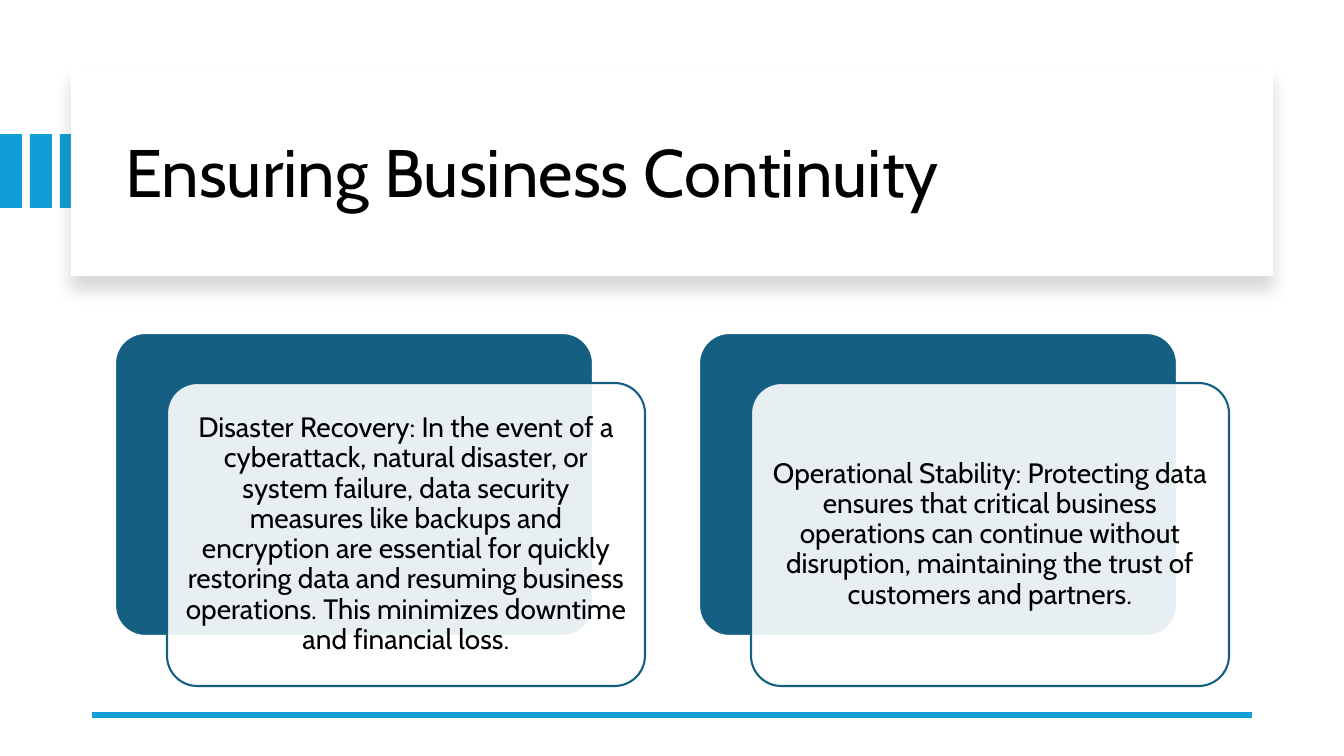
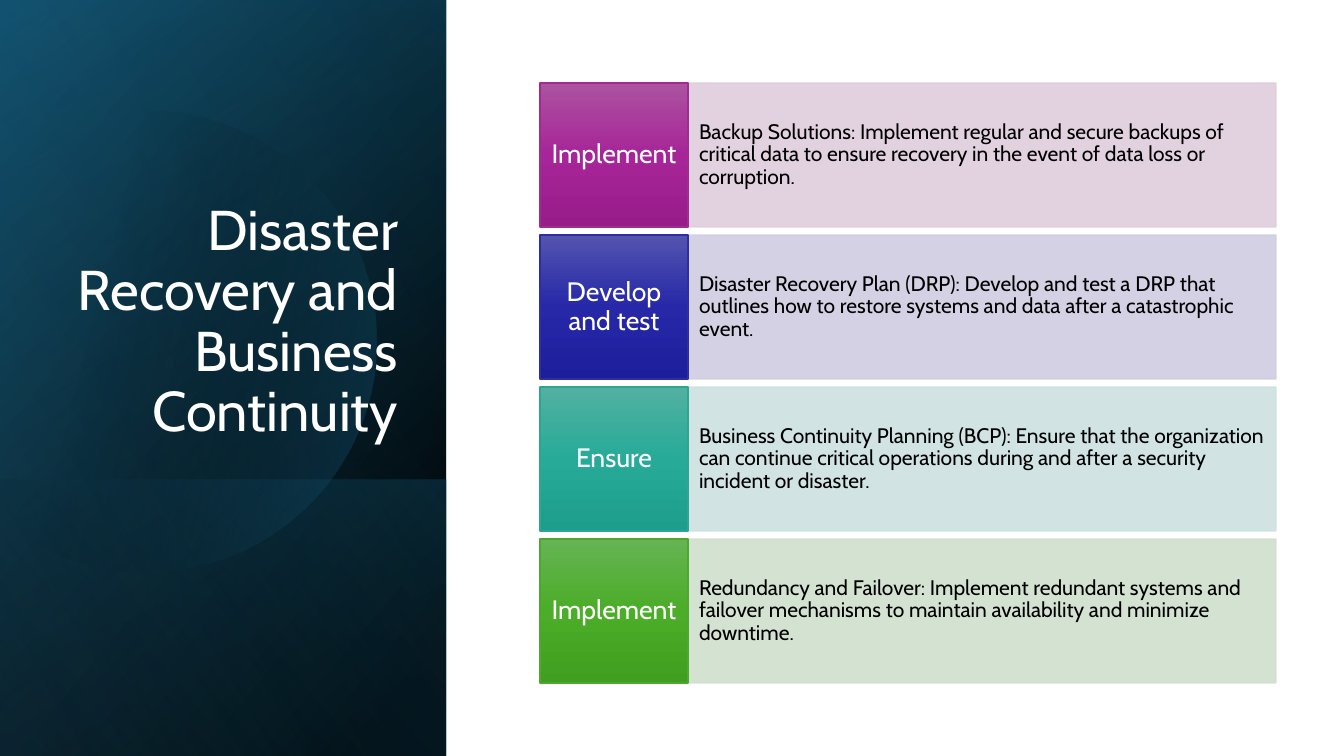
from math import cos, radians, sin

from lxml import etree
from pptx import Presentation
from pptx.dml.color import RGBColor
from pptx.enum.shapes import MSO_CONNECTOR, MSO_SHAPE
from pptx.enum.text import MSO_ANCHOR, PP_ALIGN
from pptx.oxml.ns import qn
from pptx.util import Emu, Pt

RECTANGLE = MSO_SHAPE.RECTANGLE
ROUNDED = MSO_SHAPE.ROUNDED_RECTANGLE
STRAIGHT = MSO_CONNECTOR.STRAIGHT
MIDDLE, BOTTOM = MSO_ANCHOR.MIDDLE, MSO_ANCHOR.BOTTOM
LEFT, CENTER, RIGHT = PP_ALIGN.LEFT, PP_ALIGN.CENTER, PP_ALIGN.RIGHT

EMU_PER_PX = 914400 / 100.8
SLIDE_WIDTH, SLIDE_HEIGHT = 1344, 756
PANEL_WIDTH = 446
FONT = "Cabin"
BLACK, WHITE = "000000", "FFFFFF"
ACCENT, TEAL, SKY = "0F9ED5", "156082", "46B1E1"

CARDS = [
    "Disaster Recovery: In the event of a cyberattack, natural disaster, or "
    "system failure, data security measures like backups and encryption are "
    "essential for quickly restoring data and resuming business operations. "
    "This minimizes downtime and financial loss.",
    "Operational Stability: Protecting data ensures that critical business "
    "operations can continue without disruption, maintaining the trust of "
    "customers and partners.",
]

# Label, description, label gradient, label outline, description fill
ROWS = [
    ("Implement",
     "Backup Solutions: Implement regular and secure backups of critical data "
     "to ensure recovery in the event of data loss or corruption.",
     ("AC53A0", "A62598", "991C8B"), "A02B93", "DFCDDC"),
    ("Develop and test",
     "Disaster Recovery Plan (DRP): Develop and test a DRP that outlines how "
     "to restore systems and data after a catastrophic event.",
     ("5354AE", "2628A8", "1D1E9B"), "2C2EA2", "CFCDE0"),
    ("Ensure",
     "Business Continuity Planning (BCP): Ensure that the organization can "
     "continue critical operations during and after a security incident or "
     "disaster.",
     ("53B0A1", "27AB98", "1D9D8B"), "2DA594", "CDE1E0"),
    ("Implement",
     "Redundancy and Failover: Implement redundant systems and failover "
     "mechanisms to maintain availability and minimize downtime.",
     ("66B354", "4BAD28", "409F1E"), "4EA72E", "D0E1CD"),
]


def px(value):
    return Emu(round(value * EMU_PER_PX))


def color(value):
    return RGBColor.from_string(value)


def add_element(parent, tag, **attributes):
    element = etree.SubElement(parent, qn(tag))
    for name, value in attributes.items():
        element.set(name, str(value))
    return element


def set_opacity(shape, percent, *fill_locations):
    for location in fill_locations:
        rgb = shape.element.spPr.find(location).find(qn("a:srgbClr"))
        add_element(rgb, "a:alpha", val=percent * 1000)


def set_gradient(shape, stops, angle):
    """Fill with stops of (position, color, opacity), all in percent."""
    shape.fill.background()
    properties = shape.element.spPr
    gradient = etree.Element(qn("a:gradFill"), rotWithShape="1")
    stop_list = add_element(gradient, "a:gsLst")
    for position, value, opacity in stops:
        stop = add_element(stop_list, "a:gs", pos=position * 1000)
        rgb = add_element(stop, "a:srgbClr", val=value)
        if opacity < 100:
            add_element(rgb, "a:alpha", val=opacity * 1000)
    add_element(gradient, "a:lin", ang=angle * 60000, scaled=0)
    properties.replace(properties.find(qn("a:noFill")), gradient)


def set_shadow(shape, opacity, blur, distance):
    """Cast a black shadow straight down; blur and distance in points."""
    effects = shape.element.spPr.find(qn("a:effectLst"))
    shadow = add_element(effects, "a:outerShdw", blurRad=Pt(blur),
                         dist=Pt(distance), dir=90 * 60000, algn="ctr",
                         rotWithShape=0)
    rgb = add_element(shadow, "a:srgbClr", val=BLACK)
    add_element(rgb, "a:alpha", val=opacity * 1000)


def style_shape(shape, fill=None, line=None, line_width=1):
    shape.shadow.inherit = False
    if fill:
        shape.fill.solid()
        shape.fill.fore_color.rgb = color(fill)
    if line:
        shape.line.color.rgb = color(line)
        shape.line.width = Pt(line_width)
    else:
        shape.line.fill.background()


def add_box(slide, box, kind=RECTANGLE, **style):
    shape = slide.shapes.add_shape(kind, *map(px, box))
    if kind == ROUNDED:
        shape.adjustments[0] = 0.1
    style_shape(shape, **style)
    return shape


def write_text(shape, text, size, text_color=BLACK, alignment=LEFT,
               anchor=MIDDLE, insets=(10, 5)):
    """Insets are (horizontal, vertical)."""
    frame = shape.text_frame
    horizontal, vertical = map(px, insets)
    frame_format = {
        "word_wrap": True, "vertical_anchor": anchor,
        "margin_left": horizontal, "margin_right": horizontal,
        "margin_top": vertical, "margin_bottom": vertical,
    }
    paragraph = frame.paragraphs[0]
    run = paragraph.add_run()
    run.text = text
    run.font.color.rgb = color(text_color)
    formats = [
        (frame, frame_format),
        (paragraph, {"alignment": alignment, "line_spacing": 0.9}),
        (run.font, {"name": FONT, "size": Pt(size)}),
    ]
    for target, values in formats:
        for name, value in values.items():
            setattr(target, name, value)


def add_title(slide, box, text, size, **text_format):
    write_text(slide.shapes.add_textbox(*map(px, box)), text, size,
               **text_format)


def add_rule(slide, left, right, y):
    rule = slide.shapes.add_connector(STRAIGHT, px(right), px(y),
                                      px(left), px(y))
    rule.line.color.rgb = color(ACCENT)
    rule.line.width = Pt(4.5)
    add_element(rule.element.spPr, "a:effectLst")


def add_card(slide, left, top, text):
    width, height = 478, 303
    add_box(slide, (left, top, width, height), ROUNDED,
            fill=TEAL, line=WHITE, line_width=1.5)
    front = add_box(slide, (left + 52, top + 50, width, height), ROUNDED,
                    fill=WHITE, line=TEAL, line_width=1.5)
    set_opacity(front, 90, qn("a:solidFill"))
    write_text(front, text, 20, alignment=CENTER, insets=(8, 8))


def add_panel_layer(slide, top, length, stops, angle):
    """Cover the side panel from top down, with a mirrored quarter turn."""
    offset = (length - PANEL_WIDTH) / 2
    layer = add_box(slide, (-offset, top + offset, length, PANEL_WIDTH))
    layer.rotation = 90
    layer.element.spPr.find(qn("a:xfrm")).set("flipH", "1")
    set_gradient(layer, stops, angle)


def add_panel_disc(slide):
    """Draw a disc that is cut off at the left edge of the slide."""
    center_x, center_y, radius, limit = 146, 341, 230, 129
    points = [(px(center_x + radius * cos(radians(angle))),
               px(center_y + radius * sin(radians(angle))))
              for angle in range(-limit, limit + 1, 2)]
    builder = slide.shapes.build_freeform(*points[0])
    builder.add_line_segments(points[1:], close=True)
    disc = builder.convert_to_shape()
    style_shape(disc)
    set_gradient(disc, [(29, BLACK, 0), (100, TEAL, 43)], 14)


def add_row(slide, top, label, description, gradient, outline, tint):
    left, label_width, description_width, height = 540, 148, 588, 144
    body = add_box(slide, (left + label_width, top, description_width, height),
                   fill=tint, line=tint)
    set_opacity(body, 90, qn("a:solidFill"),
                f"{qn('a:ln')}/{qn('a:solidFill')}")
    write_text(body, description, 15, insets=(11, 36))
    head = add_box(slide, (left, top, label_width, height), line=outline)
    stops = [(50 * index, value, 100) for index, value in enumerate(gradient)]
    set_gradient(head, stops, 90)
    write_text(head, label, 19, text_color=WHITE, alignment=CENTER,
               insets=(8, 14))


def build_continuity_slide(slide):
    for index in range(3):
        add_box(slide, (30 * index, 134, 22, 74), fill=ACCENT)
    banner = add_box(slide, (71, 68, 1202, 208), fill=WHITE)
    set_shadow(banner, opacity=15, blur=11, distance=10)
    add_title(slide, (115, 90, 1122, 171), "Ensuring Business Continuity", 48)
    add_rule(slide, 92, 1252, 715)
    for index, text in enumerate(CARDS):
        add_card(slide, 115 + 584 * index, 333, text)


def build_recovery_slide(slide):
    add_panel_layer(slide, 0, SLIDE_HEIGHT,
                    [(8, BLACK, 100), (100, "104862", 100)], 50)
    add_panel_layer(slide, 0, SLIDE_HEIGHT,
                    [(0, BLACK, 0), (99, TEAL, 46)], 30)
    add_panel_layer(slide, 480, SLIDE_HEIGHT - 480,
                    [(2, TEAL, 29), (100, BLACK, 30)], 130)
    add_panel_disc(slide)
    add_panel_layer(slide, 0, SLIDE_HEIGHT,
                    [(0, BLACK, 0), (99, SKY, 11)], 120)
    add_title(slide, (65, 185, 343, 264),
              "Disaster Recovery and Business Continuity", 40,
              text_color=WHITE, alignment=RIGHT, anchor=BOTTOM)
    for index, row in enumerate(ROWS):
        add_row(slide, 83 + 152 * index, *row)


def main():
    presentation = Presentation()
    presentation.slide_width = px(SLIDE_WIDTH)
    presentation.slide_height = px(SLIDE_HEIGHT)
    blank = presentation.slide_layouts[6]
    for build in (build_continuity_slide, build_recovery_slide):
        build(presentation.slides.add_slide(blank))
    presentation.save("out.pptx")


if __name__ == "__main__":
    main()
